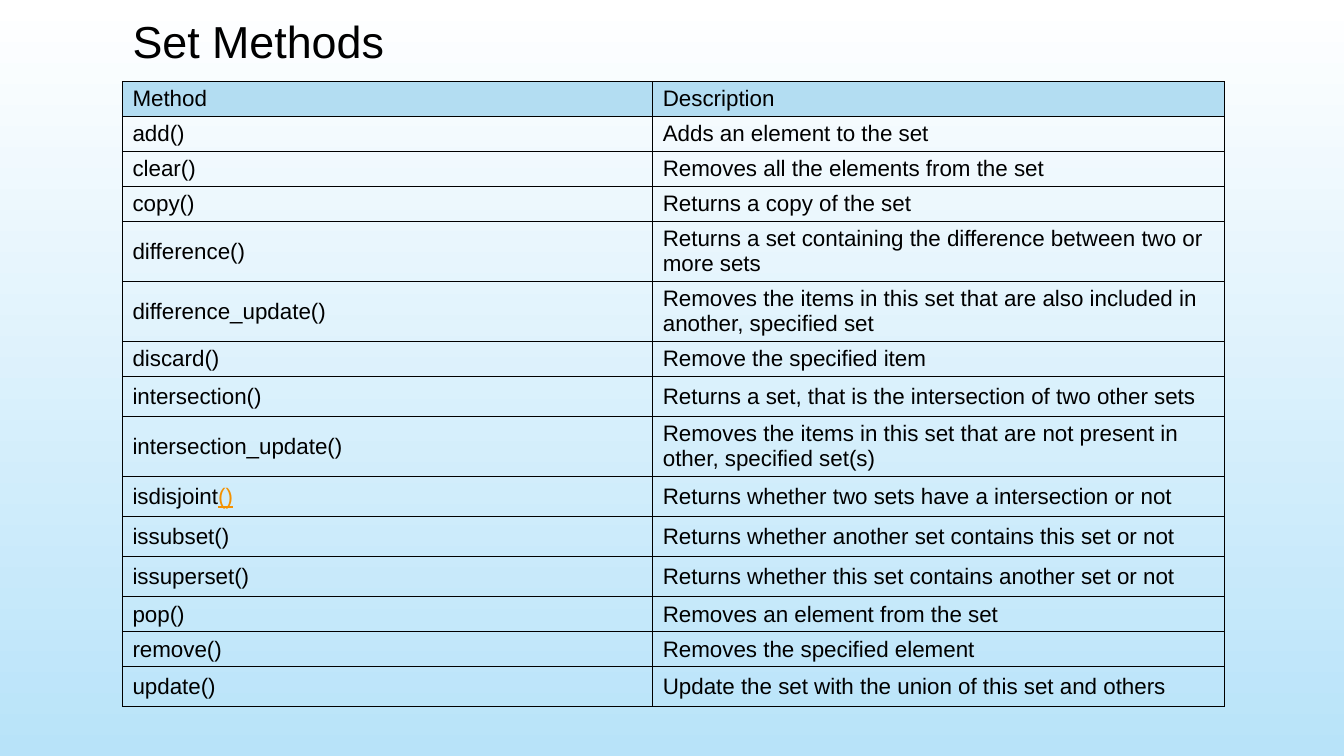
from dataclasses import dataclass

import pptx
import pptx.dml.color
import pptx.enum.text
import pptx.oxml
import pptx.oxml.ns
import pptx.util

WIDE = pptx.util.Inches(13.33)
HIGH = pptx.util.Inches(7.5)


@dataclass(frozen=True)
class Theme:
    font: str = "Arial"
    ink: str = "000000"
    link: str = "F49100"
    head: str = "B3DDF2"
    top: str = "FFFFFF"
    base: str = "B8E3F9"
    title: int = 32
    body: int = 16
    rule: int = 1


@dataclass(frozen=True)
class Method:
    name: str
    text: str
    high: float
    link: str = ""


THEME = Theme()

# Shares of the slide, in percent
LEFT = 9.11
COLS = (39.46, 42.54)
TITLE_TOP, TITLE_WIDE, TITLE_HIGH = 1.15, 29.1, 8.53
TABLE_TOP = 10.8
LINE, ROOMY, PAIR = 4.63, 5.3, 7.94
PAD = 0.25

METHODS = (
    Method("Method", "Description", LINE),
    Method("add()", "Adds an element to the set", LINE),
    Method("clear()", "Removes all the elements from the set", LINE),
    Method("copy()", "Returns a copy of the set", LINE),
    Method("difference()", "Returns a set containing the difference between two or more sets", PAIR),
    Method("difference_update()",
           "Removes the items in this set that are also included in another, specified set", PAIR),
    Method("discard()", "Remove the specified item", LINE),
    Method("intersection()", "Returns a set, that is the intersection of two other sets", ROOMY),
    Method("intersection_update()",
           "Removes the items in this set that are not present in other, specified set(s)", PAIR),
    Method("isdisjoint", "Returns whether two sets have a intersection or not", ROOMY, link="()"),
    Method("issubset()", "Returns whether another set contains this set or not", ROOMY),
    Method("issuperset()", "Returns whether this set contains another set or not", ROOMY),
    Method("pop()", "Removes an element from the set", LINE),
    Method("remove()", "Removes the specified element", LINE),
    Method("update()", "Update the set with the union of this set and others", ROOMY),
)


def across(share: float) -> int:
    return round(WIDE * share / 100)


def down(share: float) -> int:
    return round(HIGH * share / 100)


def color(code: str) -> pptx.dml.color.RGBColor:
    return pptx.dml.color.RGBColor.from_string(code)


def add_run(para, text: str, size: int, ink: str = THEME.ink, under: bool = False) -> None:
    run = para.add_run()
    run.text = text
    font = run.font
    font.name, font.size = THEME.font, pptx.util.Pt(size)
    font.bold, font.underline = False, under
    font.color.rgb = color(ink)


def add_rules(cell) -> None:
    """Draw a thin line on all four sides of a cell."""
    props = cell._tc.get_or_add_tcPr()
    space = pptx.oxml.ns.nsdecls("a")
    for spot, side in enumerate(("lnL", "lnR", "lnT", "lnB")):
        props.insert(spot, pptx.oxml.parse_xml(
            f'<a:{side} {space} w="{pptx.util.Pt(THEME.rule)}"><a:solidFill>'
            f'<a:srgbClr val="{THEME.ink}"/></a:solidFill></a:{side}>'))


def paint_back(slide) -> None:
    fill = slide.background.fill
    fill.gradient()
    fill.gradient_angle = 270
    for stop, code, spot in zip(fill.gradient_stops, (THEME.top, THEME.base), (0, 1)):
        stop.color.rgb = color(code)
        stop.position = spot


def add_title(slide, text: str) -> None:
    title = slide.shapes.title
    title.left, title.top = across(LEFT), down(TITLE_TOP)
    title.width, title.height = across(TITLE_WIDE), down(TITLE_HIGH)
    frame = title.text_frame
    frame.auto_size = pptx.enum.text.MSO_AUTO_SIZE.SHAPE_TO_FIT_TEXT
    frame.vertical_anchor = pptx.enum.text.MSO_ANCHOR.TOP
    para = frame.paragraphs[0]
    para.alignment = pptx.enum.text.PP_ALIGN.LEFT
    add_run(para, text, THEME.title)


def add_grid(slide, methods: tuple[Method, ...]) -> None:
    table = slide.shapes.add_table(
        len(methods), len(COLS), across(LEFT), down(TABLE_TOP),
        across(sum(COLS)), down(sum(item.high for item in methods))).table
    table.first_row = table.horz_banding = False
    for col, share in zip(table.columns, COLS):
        col.width = across(share)
    for index, (row, item) in enumerate(zip(table.rows, methods)):
        row.height = down(item.high)
        for cell, text in zip(row.cells, (item.name, item.text)):
            cell.vertical_anchor = pptx.enum.text.MSO_ANCHOR.MIDDLE
            cell.margin_top = cell.margin_bottom = down(PAD)
            if index == 0:
                cell.fill.solid()
                cell.fill.fore_color.rgb = color(THEME.head)
            else:
                cell.fill.background()
            add_rules(cell)
            add_run(cell.text_frame.paragraphs[0], text, THEME.body)
        if item.link:
            add_run(row.cells[0].text_frame.paragraphs[0], item.link,
                    THEME.body, THEME.link, under=True)


def main() -> None:
    deck = pptx.Presentation()
    deck.slide_width, deck.slide_height = WIDE, HIGH
    slide = deck.slides.add_slide(deck.slide_layouts.get_by_name("Title Only"))
    paint_back(slide)
    add_grid(slide, METHODS)
    add_title(slide, "Set Methods")
    deck.save("out.pptx")


if __name__ == "__main__":
    main()
